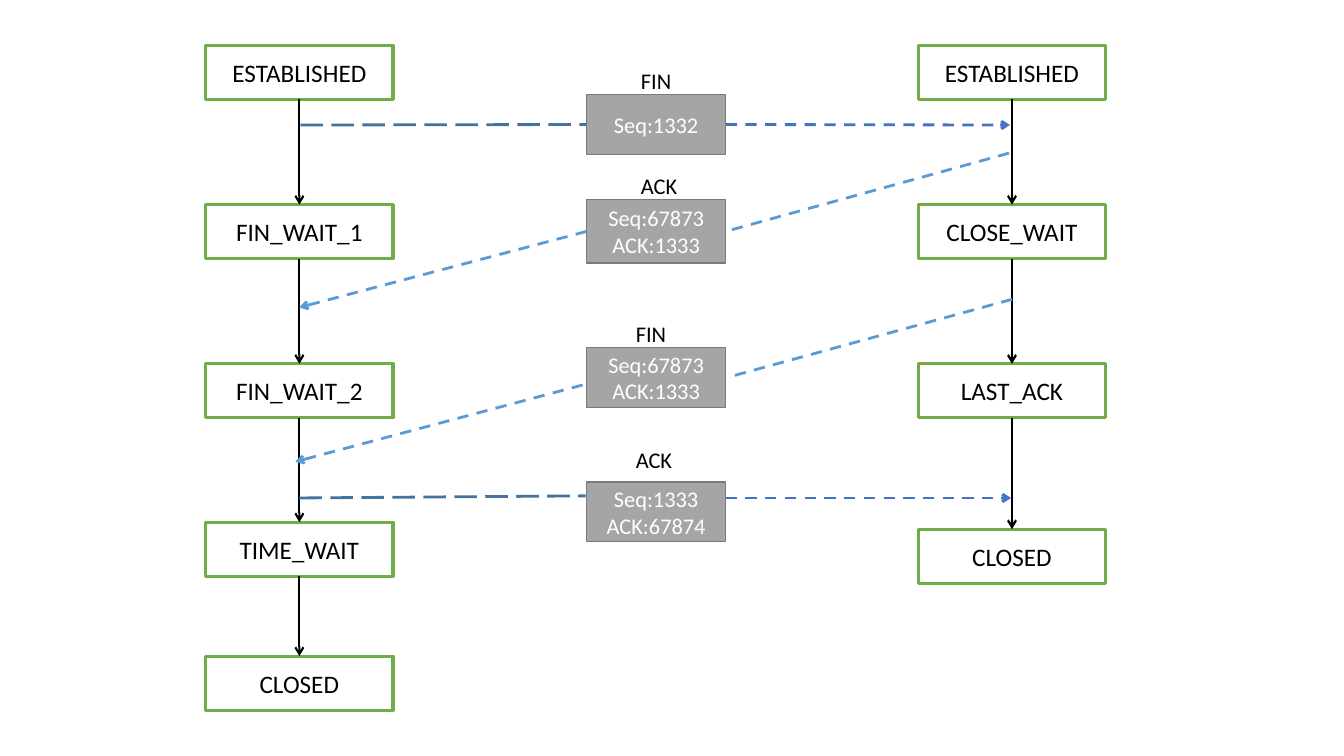
"""Draw the four-step connection closing between two peers."""
from lxml import etree
from pptx import Presentation
from pptx import util as u
from pptx.dml.color import RGBColor
from pptx.enum import dml, shapes, text
from pptx.oxml import ns

BLACK = RGBColor(0, 0, 0)
WHITE = RGBColor(255, 255, 255)
GREEN = RGBColor(0x70, 0xAD, 0x47)
GREY = RGBColor(0xA5, 0xA5, 0xA5)
EDGE = RGBColor(0x7A, 0x7A, 0x7A)
STEEL = RGBColor(0x43, 0x73, 0x9E)
BLUE = RGBColor(0x44, 0x72, 0xC4)
SKY = RGBColor(0x5B, 0x9B, 0xD5)
LONG, DASH = dml.MSO_LINE.LONG_DASH, dml.MSO_LINE.DASH
TOP, LEFT, BOTTOM, RIGHT = range(4)

PEERS = [
    (146.9, [("ESTABLISHED", 32.4), ("FIN_WAIT_1", 146.2), ("FIN_WAIT_2", 259.9),
             ("TIME_WAIT", 373), ("CLOSED", 468.7)]),
    (655.9, [("ESTABLISHED", 32.4), ("CLOSE_WAIT", 146.2), ("LAST_ACK", 259.9),
             ("CLOSED", 378)]),
]
PACKETS = {
    "fin1": (["Seq:1332"], 67.7, 42.5),
    "ack1": (["Seq:67873", "ACK:1333"], 142.6, 45.4),
    "fin2": (["Seq:67873", "ACK:1333"], 248.4, 42.5),
    "ack2": (["Seq:1333", "ACK:67874"], 344.2, 42.5),
}
LABELS = [("FIN", 450.7, 44.6), ("ACK", 450.7, 119.5),
          ("FIN", 447.1, 225.4), ("ACK", 447.1, 315.4)]
FLOWS = [
    ((214.6, 89.3), ("fin1", LEFT), STEEL, LONG, False),
    ((213.8, 355.7), (418.3, 354.2), STEEL, LONG, False),
    ((518.4, 355.7), (722.2, 355.7), BLUE, DASH, True),
    (("fin1", RIGHT), (721.4, 89.3), BLUE, DASH, True),
    ((720.7, 109.4), ("ack1", RIGHT), SKY, DASH, False),
    (("ack1", LEFT), (213.8, 219.6), SKY, DASH, True),
    ((722.9, 213.8), (520.6, 269.3), SKY, DASH, False),
    ((416.2, 275), (211, 329.8), SKY, DASH, True),
]
STATE = {"width": 133.9, "height": 38.6}
PACKET = {"left": 419, "width": 99.4}
FRAME = {"word_wrap": True, "vertical_anchor": text.MSO_ANCHOR.MIDDLE}
LABEL = {"word_wrap": True, "auto_size": text.MSO_AUTO_SIZE.SHAPE_TO_FIT_TEXT}


def apply(obj, vals):
    for key, val in vals.items():
        setattr(obj, key, val)


def write(frame, lines, size, color, align):
    for num, line in enumerate(lines):
        para = frame.add_paragraph() if num else frame.paragraphs[0]
        para.alignment = align
        run = para.add_run()
        run.text = line
        apply(run.font, {"name": "Calibri", "size": u.Pt(size)})
        run.font.color.rgb = color


def add_box(page, place, lines, size, ink, fill, edge, width):
    box = page.add_shape(shapes.MSO_SHAPE.RECTANGLE, *map(u.Pt, place))
    box.shadow.inherit = False
    box.fill.solid()
    box.fill.fore_color.rgb = fill
    box.line.color.rgb = edge
    box.line.width = u.Pt(width)
    apply(box.text_frame, FRAME)
    write(box.text_frame, lines, size, ink, text.PP_ALIGN.CENTER)
    return box


def add_line(page, start, end, boxes, color, width, dash, arrow):
    ends = [(0, 0) if spot[0] in boxes else spot for spot in (start, end)]
    line = page.add_connector(shapes.MSO_CONNECTOR.STRAIGHT,
                              *(u.Pt(num) for spot in ends for num in spot))
    for spot, join in ((start, line.begin_connect), (end, line.end_connect)):
        if spot[0] in boxes:
            join(boxes[spot[0]], spot[1])
    line.line.color.rgb = color
    apply(line.line, {"width": u.Pt(width), "dash_style": dash})
    if arrow:
        tail = etree.SubElement(line.line._get_or_add_ln(), ns.qn("a:tailEnd"))
        tail.set("type", "arrow")
    etree.SubElement(line._element.spPr, ns.qn("a:effectLst"))


def main():
    deck = Presentation()
    apply(deck, {"slide_width": u.Pt(960), "slide_height": u.Pt(540)})
    page = deck.slides.add_slide(deck.slide_layouts[6]).shapes

    chains = [
        [add_box(page, (left, top, STATE["width"], STATE["height"]),
                 [name], 18, BLACK, WHITE, GREEN, 2.25) for name, top in states]
        for left, states in PEERS
    ]
    for chain in chains:
        for pair in zip(chain, chain[1:]):
            add_line(page, (0, BOTTOM), (1, TOP), dict(enumerate(pair)),
                     BLACK, 1.5, None, True)

    boxes = {
        key: add_box(page, (PACKET["left"], top, PACKET["width"], high),
                     lines, 16, WHITE, GREY, EDGE, 1)
        for key, (lines, top, high) in PACKETS.items()
    }
    for name, left, top in LABELS:
        label = page.add_textbox(*map(u.Pt, (left, top, 58.3, 26.6)))
        apply(label.text_frame, LABEL)
        write(label.text_frame, [name], 16, BLACK, text.PP_ALIGN.LEFT)
    for start, end, color, dash, arrow in FLOWS:
        add_line(page, start, end, boxes, color, 2, dash, arrow)

    deck.save("out.pptx")


if __name__ == "__main__":
    main()
